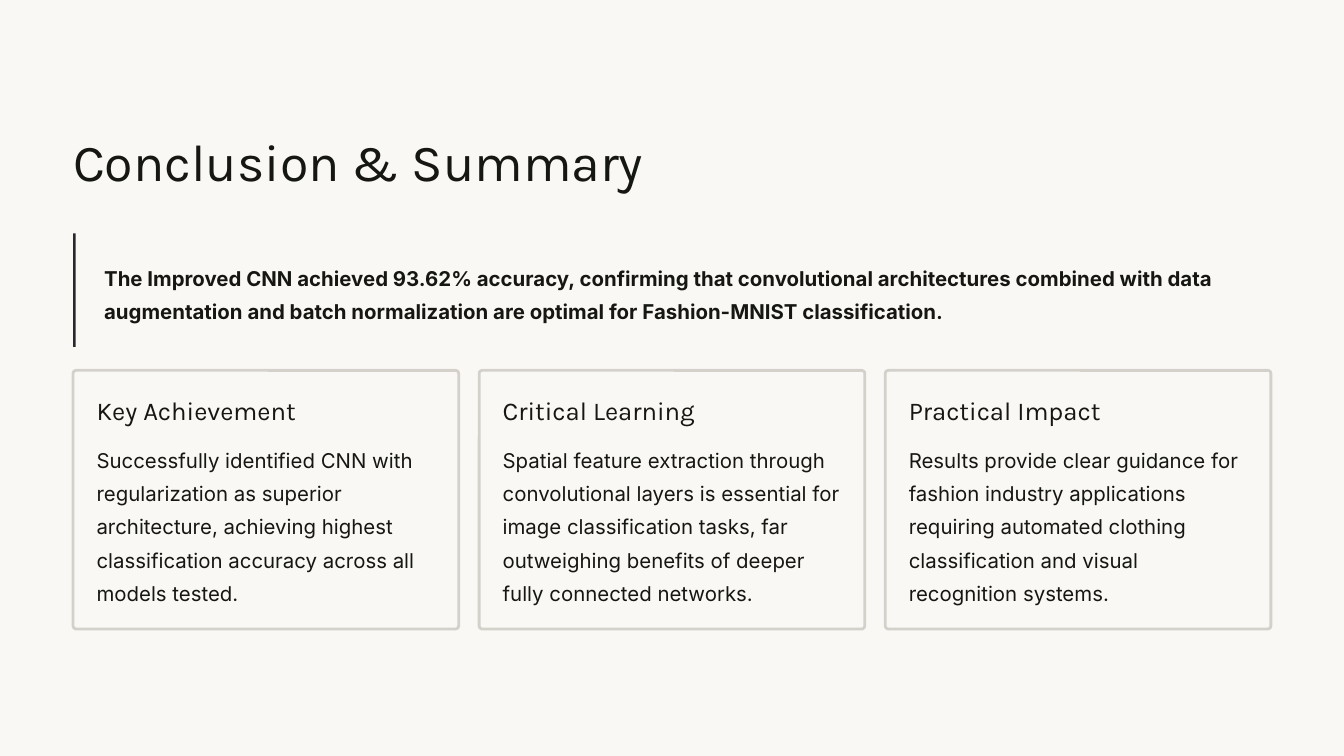
from pptx import Presentation
from pptx.dml.color import RGBColor
from pptx.enum.shapes import MSO_SHAPE
from pptx.util import Cm, Pt

COLORS = {"paper": "F9F8F5", "ink": "161613", "bar": "28282F", "border": "D3D1C9"}
MARGIN = 2.21
CARD_TOP, CARD_WIDTH, CARD_HEIGHT = 11.2, 11.66, 7.82
CARD_PITCH, CARD_PADDING = 12.28, 0.71
CARDS = [
    ("Key Achievement",
     "Successfully identified CNN with regularization as superior architecture, "
     "achieving highest classification accuracy across all models tested."),
    ("Critical Learning",
     "Spatial feature extraction through convolutional layers is essential for image "
     "classification tasks, far outweighing benefits of deeper fully connected networks."),
    ("Practical Impact",
     "Results provide clear guidance for fashion industry applications requiring "
     "automated clothing classification and visual recognition systems."),
]


def rgb(name):
    return RGBColor.from_string(COLORS[name])


def add_text(slide, text, box, font, size, spacing, bold=False, wrap=True):
    tf = slide.shapes.add_textbox(*map(Cm, box)).text_frame
    tf.margin_left = tf.margin_top = tf.margin_right = tf.margin_bottom = 0
    tf.word_wrap = wrap
    p = tf.paragraphs[0]
    p.text = text
    p.line_spacing = Pt(spacing)
    p.font.name = font
    p.font.size = Pt(size)
    p.font.bold = bold
    p.font.color.rgb = rgb("ink")


def add_heading(slide, text, box, size, spacing):
    add_text(slide, text, box, "Karla", size, spacing, wrap=False)


def add_body(slide, text, box, bold=False):
    add_text(slide, text, box, "Inter", 17.5, 28.5, bold)


def add_box(slide, kind, box, fill):
    sp = slide.shapes.add_shape(kind, *map(Cm, box))
    sp.shadow.inherit = False
    sp.fill.solid()
    sp.fill.fore_color.rgb = rgb(fill)
    sp.line.fill.background()
    return sp


def add_card(slide, left, title, body):
    sp = add_box(slide, MSO_SHAPE.ROUNDED_RECTANGLE,
                 (left, CARD_TOP, CARD_WIDTH, CARD_HEIGHT), "paper")
    sp.adjustments[0] = 0.012
    sp.line.color.rgb = rgb("border")
    sp.line.width = Pt(2.4)
    x, y = left + CARD_PADDING, CARD_TOP + CARD_PADDING
    add_heading(slide, title, (x, y, 7.87, 0.99), 22, 27.5)
    add_body(slide, body, (x, y + 1.37, CARD_WIDTH - 2 * CARD_PADDING, 5.03))


def main():
    """Build the conclusion slide and save it."""
    prs = Presentation()
    prs.slide_width, prs.slide_height = Cm(40.64), Cm(22.86)
    s = prs.slides.add_slide(prs.slide_layouts[6])
    s.background.fill.solid()
    s.background.fill.fore_color.rgb = rgb("paper")

    add_heading(s, "Conclusion & Summary", (MARGIN, 3.84, 17.35, 1.98), 44.5, 55.5)
    add_body(s, "The Improved CNN achieved 93.62% accuracy, confirming that convolutional "
                "architectures combined with data augmentation and batch normalization are "
                "optimal for Fashion-MNIST classification.",
             (3.15, 7.77, 35.28, 2.01), bold=True)
    add_box(s, MSO_SHAPE.RECTANGLE, (MARGIN, 7.06, 0.08, 3.43), "bar")
    for i, (title, body) in enumerate(CARDS):
        add_card(s, MARGIN + i * CARD_PITCH, title, body)

    prs.save("out.pptx")


if __name__ == "__main__":
    main()
